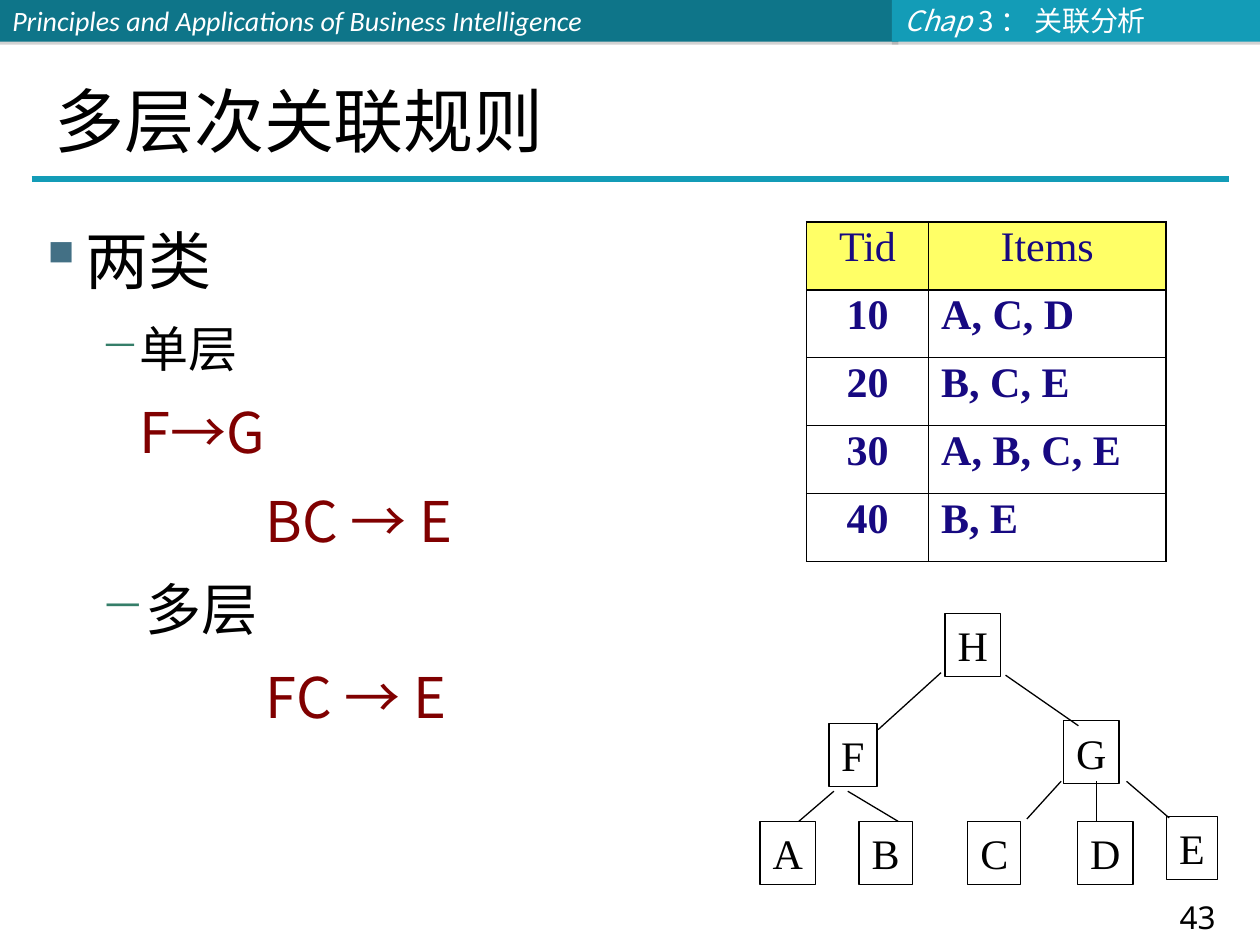
from dataclasses import dataclass
from lxml.etree import SubElement
from pptx import Presentation
from pptx.dml.color import RGBColor
from pptx.enum.shapes import MSO_CONNECTOR, MSO_SHAPE
from pptx.enum.text import MSO_ANCHOR, MSO_AUTO_SIZE, PP_ALIGN
from pptx.oxml import parse_xml
from pptx.oxml.ns import nsdecls, qn
from pptx.util import Cm, Pt


@dataclass(frozen=True)
class Theme:
    """Colours, fonts and type sizes of the slide."""
    dark: str = "0E7589"
    teal: str = "139CB7"
    white: str = "FFFFFF"
    black: str = "000000"
    red: str = "800000"
    navy: str = "170981"
    yellow: str = "FFFF66"
    square: str = "437085"
    dash: str = "357E69"
    shade: str = "808080"
    hans: str = "Noto Sans CJK SC"
    sans: str = "Noto Sans"
    serif: str = "Times New Roman"
    latin: str = "Calibri"
    band: int = 16
    page: int = 18
    node: int = 24
    sub: int = 28
    rule: int = 32
    main: int = 36
    title: int = 40


T = Theme()


def put(item, form):
    """Set each attribute named in a dict of format values."""
    for key, val in form.items():
        setattr(item, key, val)


def place(*vals):
    """Turn centimetre values into lengths."""
    return [Cm(val) for val in vals]


def write(para, text, size, face, tint, **form):
    """Add a formatted run to a paragraph."""
    run = para.add_run()
    run.text = text
    put(run.font, {"size": Pt(size), "name": face, **form})
    run.font.color.rgb = RGBColor.from_string(tint)
    SubElement(run.font._element, qn("a:ea"), typeface=face)


def paint(shape, tint):
    """Fill a shape with one colour and drop its theme shadow."""
    shape.shadow.inherit = False
    shape.fill.solid()
    shape.fill.fore_color.rgb = RGBColor.from_string(tint)


def add_line(shapes, ends, tint, width):
    """Draw a straight line without a shadow."""
    line = shapes.add_connector(MSO_CONNECTOR.STRAIGHT, *place(*ends))
    line.line.color.rgb = RGBColor.from_string(tint)
    line.line.width = Pt(width)
    SubElement(line._element.spPr, qn("a:effectLst"))


def add_band(shapes, left, width, tint, runs):
    """Draw a header band with a soft edge below it."""
    band = shapes.add_shape(MSO_SHAPE.RECTANGLE, *place(left, 0, width, 0.84))
    paint(band, tint)
    band.line.fill.background()
    glow = band._element.spPr.find(qn("a:effectLst"))
    glow.append(parse_xml(
        f'<a:outerShdw {nsdecls("a")} dist="{Pt(1.8)}" dir="5400000">'
        f'<a:srgbClr val="{T.shade}"><a:alpha val="35000"/></a:srgbClr></a:outerShdw>'))
    put(band.text_frame, {"vertical_anchor": MSO_ANCHOR.MIDDLE, "word_wrap": True})
    para = band.text_frame.paragraphs[0]
    para.alignment = PP_ALIGN.LEFT
    for text, face, slant in runs:
        write(para, text, T.band, face, T.white, italic=slant)


def add_title(slide, text):
    """Move and format the title placeholder."""
    title = slide.shapes.title
    spot = place(0.84, 0.84, 23.7, 2.54)
    put(title, dict(zip(("left", "top", "width", "height"), spot)))
    put(title.text_frame, {"vertical_anchor": MSO_ANCHOR.BOTTOM,
                           "auto_size": MSO_AUTO_SIZE.NONE, "word_wrap": True})
    para = title.text_frame.paragraphs[0]
    para.alignment = PP_ALIGN.LEFT
    write(para, text, T.title, T.hans, T.black)


def add_page(shapes, text):
    """Add the page number."""
    box = shapes.add_textbox(*place(22.86, 18.03, 2.57, 0.97))
    box.text_frame.word_wrap = True
    para = box.text_frame.paragraphs[0]
    put(para, {"alignment": PP_ALIGN.CENTER, "line_spacing": Pt(20)})
    write(para, text, T.page, T.sans, T.black)


def indent(para, left, hang, mark, tint):
    """Set the indents of a paragraph and its bullet, if any."""
    props = para._p.get_or_add_pPr()
    props.set("marL", str(Cm(left)))
    props.set("indent", str(-Cm(hang)))
    if mark:
        shade = SubElement(props, qn("a:buClr"))
        SubElement(shade, qn("a:srgbClr"), val=tint)
        SubElement(props, qn("a:buChar"), char=mark)
    else:
        SubElement(props, qn("a:buNone"))


def add_list(shapes, items):
    """Add the outline text."""
    box = shapes.add_textbox(*place(0.51, 4.34, 13.16, 13.51))
    frame = box.text_frame
    frame.word_wrap = True
    kinds = {"main": (0.97, 0.97, "▪", T.square), "sub": (2.06, 0.79, "−", T.dash),
             "near": (2.06, 0, None, None), "far": (4.6, 0, None, None)}
    for rank, (kind, text, size, tint) in enumerate(items):
        para = frame.add_paragraph() if rank else frame.paragraphs[0]
        indent(para, *kinds[kind])
        put(para, {"level": int(kind != "main"), "space_before": Pt(12 if rank else 0)})
        write(para, text, size, T.hans, tint)


def edge(cell, sides):
    """Give a cell its four border widths."""
    props = cell._tc.get_or_add_tcPr()
    for rank, (side, width) in enumerate(sides.items()):
        props.insert(rank, parse_xml(
            f'<a:ln{side} {nsdecls("a")} w="{Pt(width)}"><a:solidFill>'
            f'<a:srgbClr val="{T.black}"/></a:solidFill></a:ln{side}>'))


def add_grid(shapes, rows):
    """Add the table of item sets."""
    count = len(rows)
    grid = shapes.add_table(count, 2, *place(16.26, 4.47, 7.24, 6.86)).table
    put(grid, {"first_row": False, "horz_banding": False})
    for col, width in zip(grid.columns, (2.46, 4.78)):
        col.width = Cm(width)
    thick, thin = 1.08, 0.45
    for y, row in enumerate(rows):
        grid.rows[y].height = Cm(1.37)
        for x, text in enumerate(row):
            cell = grid.cell(y, x)
            if y:
                cell.fill.background()
            else:
                cell.fill.solid()
                cell.fill.fore_color.rgb = RGBColor.from_string(T.yellow)
            edge(cell, {"L": thin if x else thick, "R": thick if x else thin,
                        "T": thick if y < 2 else thin,
                        "B": thick if y in (0, count - 1) else thin})
            para = cell.text_frame.paragraphs[0]
            put(para, {"line_spacing": 0.9,
                       "alignment": PP_ALIGN.LEFT if x and y else PP_ALIGN.CENTER})
            write(para, text, T.node, T.serif, T.navy, bold=y > 0)


def add_node(shapes, text, left, top, width):
    """Add one lettered box of the tree."""
    node = shapes.add_shape(MSO_SHAPE.RECTANGLE, *place(left, top, width, 1.27))
    paint(node, T.white)
    node.line.color.rgb = RGBColor.from_string(T.black)
    node.line.width = Pt(0.75)
    put(node.text_frame, {"word_wrap": False, "vertical_anchor": MSO_ANCHOR.MIDDLE})
    para = node.text_frame.paragraphs[0]
    para.alignment = PP_ALIGN.CENTER
    write(para, text, T.node, T.serif, T.black)


def add_tree(shapes):
    """Add the item tree as one group."""
    parts = shapes.add_group_shape().shapes
    for node in (("H", 19.05, 12.37, 1.12), ("G", 21.44, 14.53, 1.12),
                 ("F", 16.71, 14.58, 0.97), ("A", 15.32, 16.56, 1.12),
                 ("B", 17.32, 16.56, 1.07), ("C", 19.51, 16.56, 1.07),
                 ("D", 21.72, 16.56, 1.12), ("E", 23.52, 16.46, 1.02)):
        add_node(parts, *node)
    for ends in ((18.97, 13.56, 17.7, 14.71), (20.27, 13.61, 21.74, 14.63),
                 (16.81, 15.95, 16.1, 16.56), (17.09, 15.95, 18.11, 16.56),
                 (21.39, 15.75, 20.7, 16.51), (22.1, 15.75, 22.1, 16.56),
                 (22.71, 15.75, 23.57, 16.49)):
        add_line(parts, ends, T.black, 0.75)


def main():
    """Build the slide and save it."""
    deck = Presentation()
    put(deck, {"slide_width": Cm(25.4), "slide_height": Cm(19.05)})
    slide = deck.slides.add_slide(deck.slide_layouts[5])
    shapes = slide.shapes
    add_band(shapes, 0, 18.11, T.dark,
             [("Principles and Applications of Business Intelligence", T.latin, True)])
    add_band(shapes, 17.98, 7.47, T.teal,
             [("Chap ", T.hans, True), ("3 ： 关联分析", T.hans, False)])
    add_page(shapes, "43")
    add_line(shapes, (0.64, 3.61, 24.77, 3.61), T.teal, 3)
    add_title(slide, "多层次关联规则")
    add_list(shapes, [("main", "两类", T.main, T.black), ("sub", "单层", T.sub, T.black),
                      ("near", "F→G", T.rule, T.red), ("far", "BC → E", T.rule, T.red),
                      ("sub", "多层", T.rule, T.black), ("far", "FC → E", T.rule, T.red)])
    add_grid(shapes, [("Tid", "Items"), ("10", "A, C, D"), ("20", "B, C, E"),
                      ("30", "A, B, C, E"), ("40", "B, E")])
    add_tree(shapes)
    deck.save("out.pptx")


if __name__ == "__main__":
    main()
